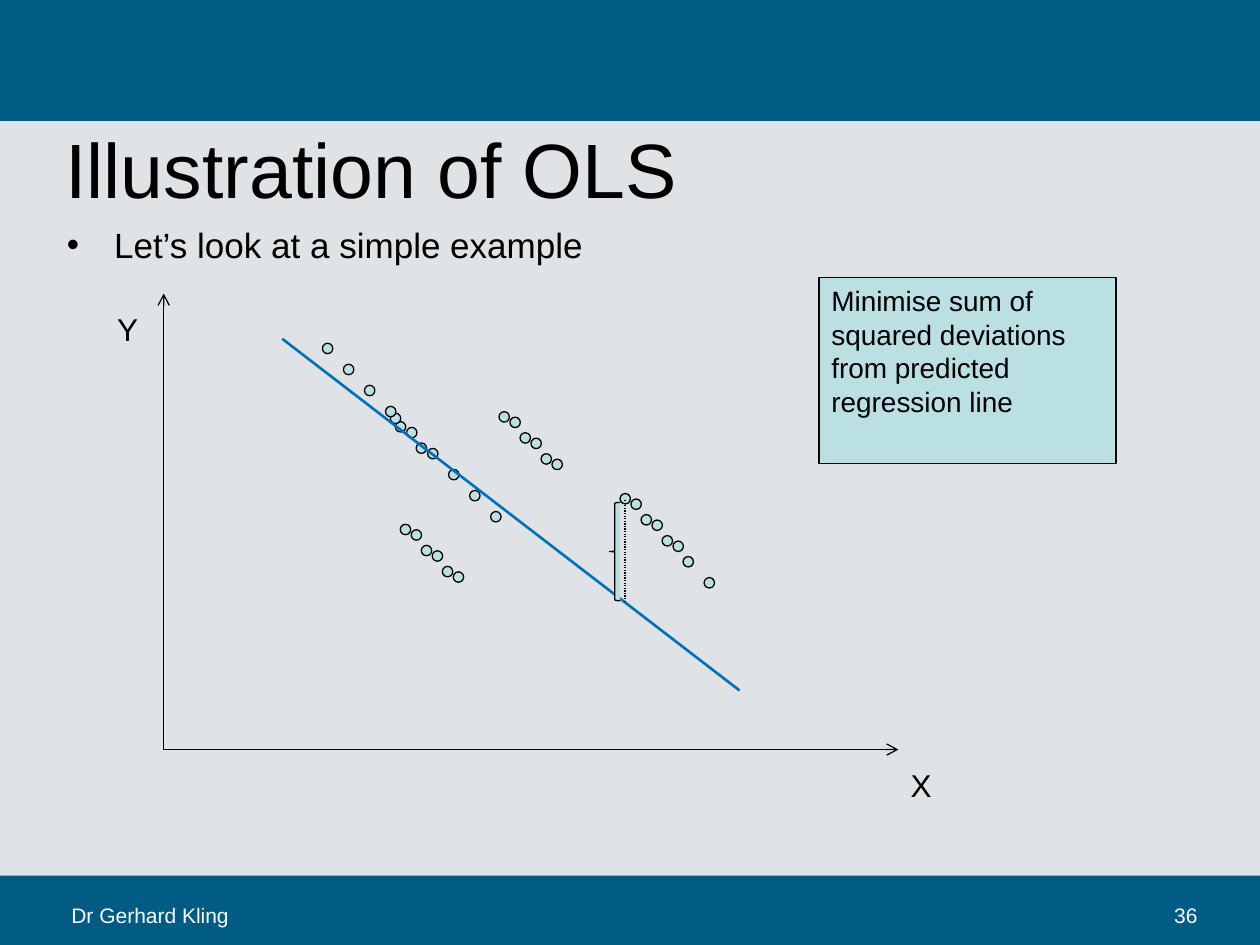
from lxml import etree
from pptx import Presentation
from pptx import util as u
from pptx.dml.color import RGBColor
from pptx.enum import dml, shapes, text
from pptx.oxml.ns import qn

Cm = u.Cm
FONT = "Arial"
HUES = {"band": "005C84", "back": "DFE3E5", "pale": "BBE0E3",
        "ink": "000000", "white": "FFFFFF", "fit": "0070C0"}

# Content: places are in centimetres
TITLE = "Illustration of OLS"
POINT = "Let’s look at a simple example"
NOTE = "Minimise sum of squared deviations from predicted regression line"
BANDS = [(0, 0, 25.4, 2.44), (0, 17.65, 25.4, 1.4)]
LABELS = [  # wording, box, size, colour
    ("Dr Gerhard Kling", (1.19, 18.06, 8.33, 0.76), 12, "white"),
    ("36", (23.42, 18.06, 1.78, 0.76), 12, "white"),
    ("Y", (2.11, 6.12, 0.61, 1.02), 18, "ink"),
    ("X", (18.11, 15.32, 0.61, 1.02), 18, "ink"),
]
ORIGIN = (3.3, 15.11)
ENDS = [(3.3, 5.92), (18.11, 15.11)]

# Dots fall along diagonals with a constant step
DOT, STEP = 0.21, 0.424
SHIFT = (0.22, 0.11)
LOOSE = [(7.97, 8.5), (7.87, 8.33), (8.39, 8.93)]
RUNS = [((6.5, 6.92), 9), ((13.77, 11.22), 2)]
PAIRS = [(12.5, 9.95), (10.06, 8.3), (8.07, 10.57)]


def color(name):
    return RGBColor.from_string(HUES[name])


def write(para, words, size, hue):
    run = para.add_run()
    run.text = words
    run.font.name, run.font.size = FONT, u.Pt(size)
    run.font.color.rgb = color(hue)


def shape(kind, box, fill, line=None):
    item = slide.shapes.add_shape(kind, *map(Cm, box))
    item.shadow.inherit = False
    item.fill.solid()
    item.fill.fore_color.rgb = color(fill)
    if line:
        item.line.color.rgb = color(line)
        item.line.width = u.Pt(0.75)
    else:
        item.line.fill.background()
    return item


def line(start, end, hue="ink", width=0.75, arrow=False):
    item = slide.shapes.add_connector(
        shapes.MSO_CONNECTOR.STRAIGHT, *map(Cm, start + end))
    item.line.color.rgb = color(hue)
    item.line.width = u.Pt(width)
    if arrow:
        etree.SubElement(item.line._get_or_add_ln(), qn("a:tailEnd"), type="arrow")
    etree.SubElement(item._element.spPr, qn("a:effectLst"))
    return item


def holder(item, box, anchor):
    item.left, item.top, item.width, item.height = map(Cm, box)
    frame = item.text_frame
    frame.auto_size = text.MSO_AUTO_SIZE.NONE
    frame.vertical_anchor = anchor
    frame.margin_left = frame.margin_right = Cm(0.08)
    frame.margin_top = frame.margin_bottom = Cm(0.05)
    para = frame.paragraphs[0]
    para.alignment = text.PP_ALIGN.LEFT
    return para


def trail(start, count):
    x, y = start
    return [(x + i * STEP, y + i * STEP) for i in range(count)]


deck = Presentation()
deck.slide_width, deck.slide_height = Cm(25.4), Cm(19.05)
slide = deck.slides.add_slide(deck.slide_layouts[1])
slide.background.fill.solid()
slide.background.fill.fore_color.rgb = color("back")

# Title and bullet
para = holder(slide.shapes.title, (1.24, 2.59, 22.86, 1.57), text.MSO_ANCHOR.MIDDLE)
write(para, TITLE, 44, "ink")
para = holder(slide.placeholders[1], (1.27, 4.45, 22.86, 12.57), text.MSO_ANCHOR.TOP)
props = para._p.get_or_add_pPr()
props.set("marL", str(Cm(0.95)))
props.set("indent", str(-Cm(0.95)))
para.space_before = u.Pt(0)
etree.SubElement(props, qn("a:buFont"), typeface=FONT)
etree.SubElement(props, qn("a:buChar"), char="•")
write(para, POINT, 20, "ink")

# Bands, footer and axis labels
for box in BANDS:
    shape(shapes.MSO_SHAPE.RECTANGLE, box, "band")
for words, box, size, hue in LABELS:
    frame = slide.shapes.add_textbox(*map(Cm, box)).text_frame
    frame.word_wrap = True
    write(frame.paragraphs[0], words, size, hue)

# Axes
for end in ENDS:
    line(ORIGIN, end, arrow=True)

# Data points
dots = list(LOOSE)
for start, count in RUNS:
    dots += trail(start, count)
for x, y in PAIRS:
    dots += trail((x, y), 3) + trail((x + SHIFT[0], y + SHIFT[1]), 3)
for x, y in dots:
    shape(shapes.MSO_SHAPE.FLOWCHART_CONNECTOR, (x, y, DOT, DOT), "pale", "ink")

# Regression line and one deviation
line((5.69, 6.83), (14.91, 13.92), "fit", 1.5)
gap = line((12.6, 10.08), (12.6, 12.12))
gap.line.dash_style = dml.MSO_LINE.ROUND_DOT
brace = shape(shapes.MSO_SHAPE.LEFT_BRACE, (12.29, 10.13, 0.21, 1.98), "pale", "ink")
brace.adjustments[0] = 0.08

# Note
frame = shape(shapes.MSO_SHAPE.RECTANGLE, (16.51, 5.59, 5.99, 3.76),
              "pale", "ink").text_frame
frame.word_wrap = True
frame.vertical_anchor = text.MSO_ANCHOR.TOP
frame.paragraphs[0].alignment = text.PP_ALIGN.LEFT
write(frame.paragraphs[0], NOTE, 16, "ink")

deck.save("out.pptx")
